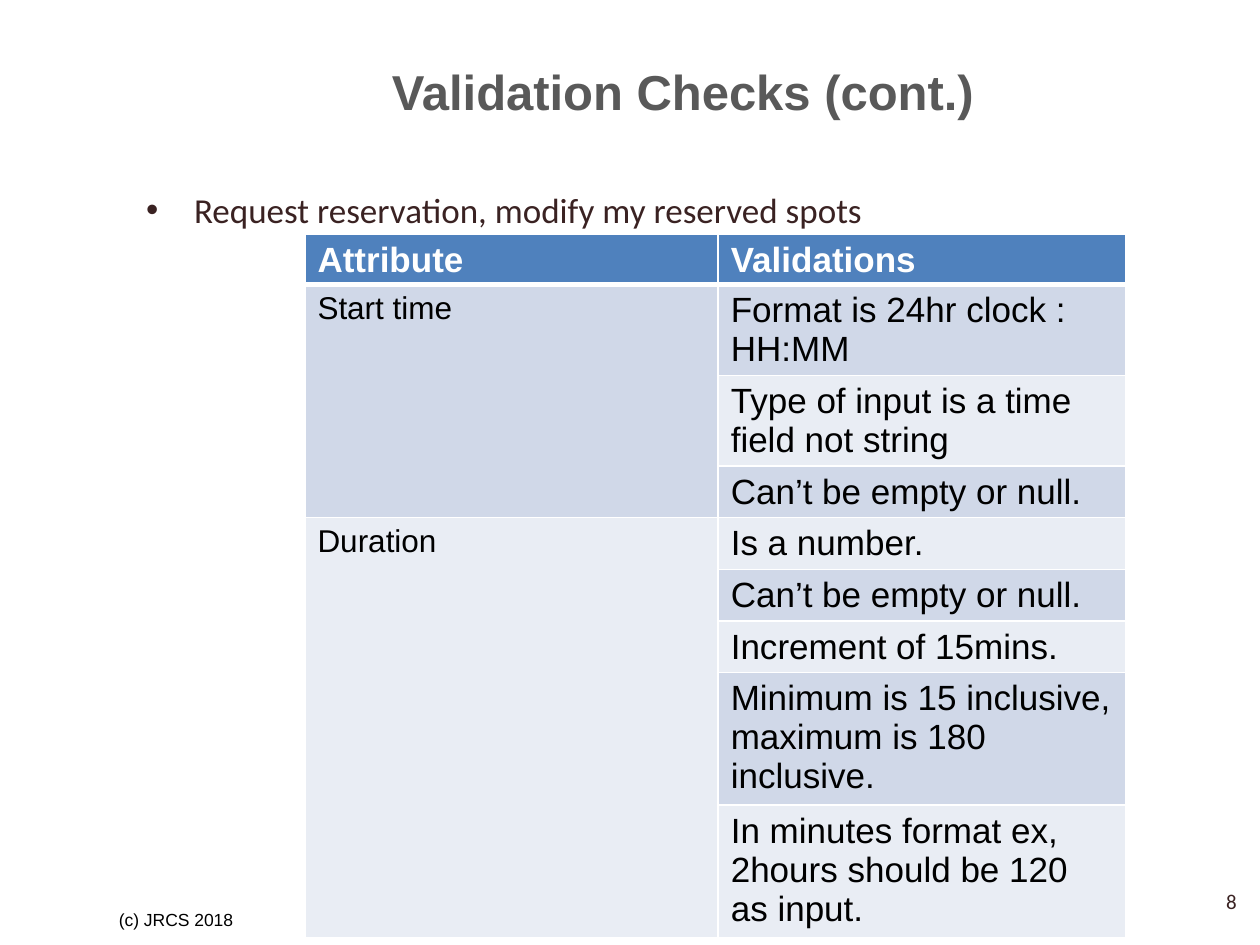
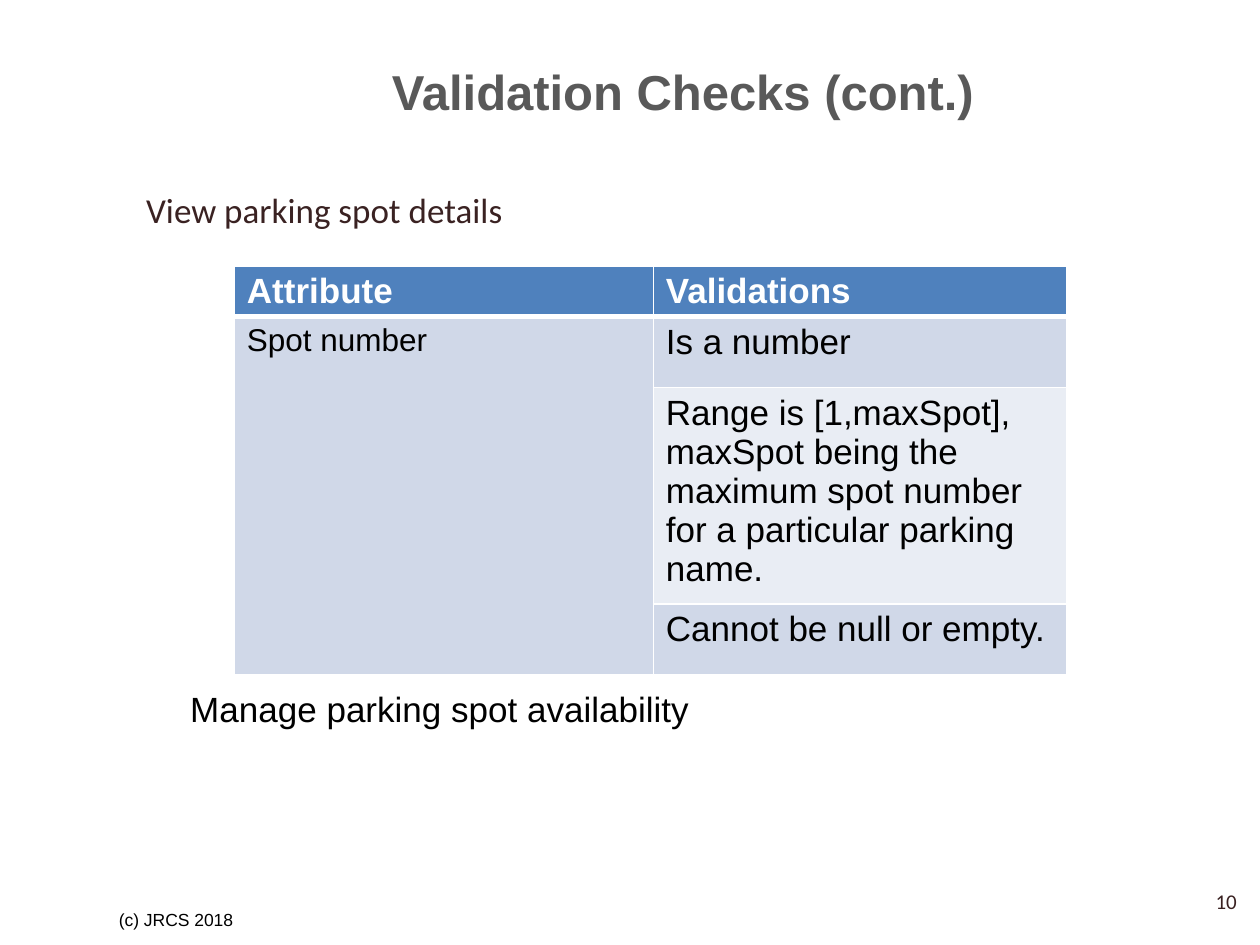
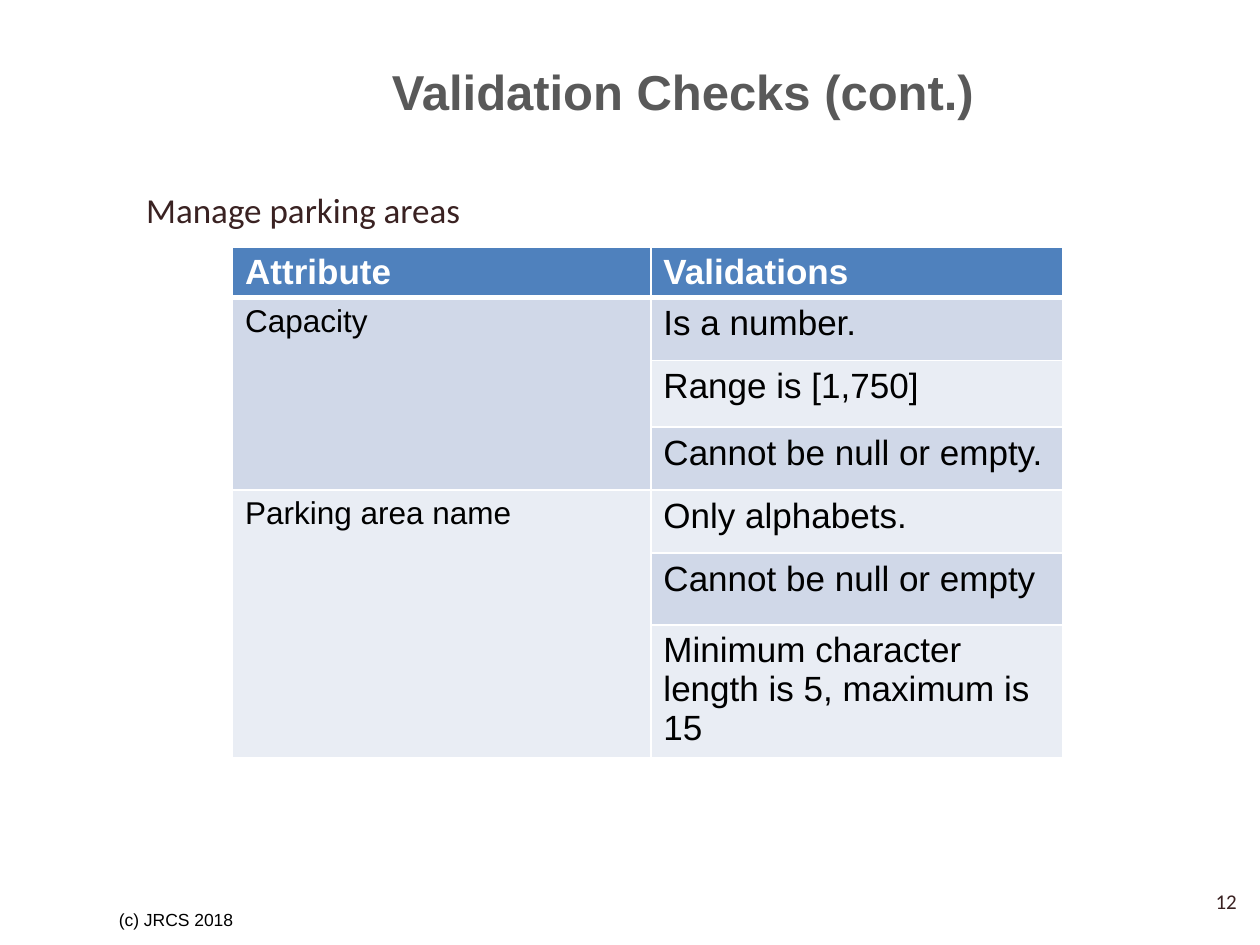
import dataclasses
import lxml.etree
import pptx
import pptx.dml.color
import pptx.enum.text
import pptx.oxml.ns
import pptx.slide
import pptx.table
import pptx.text.text
import pptx.util

HUES = {"title": "595959", "body": "3A2222", "ink": "000000", "white": "FFFFFF",
        "head": "4F81BD", "dark": "D0D8E8", "light": "E9EDF4"}
ALIGN = pptx.enum.text.PP_ALIGN
MIDDLE = pptx.enum.text.MSO_ANCHOR.MIDDLE
WIDE, HIGH = pptx.util.Inches(10), pptx.util.Inches(7.5)
COL, ROW = WIDE / 100, HIGH / 75  # a grid of 100 columns by 75 rows
ONE, TWO, THREE, FIVE = (1 + 3.1 * lines for lines in (1, 2, 3, 5))  # row heights by line count
HEAD = 4


@dataclasses.dataclass
class Box:
    left: float
    top: float
    wide: float
    high: float

    def size(self) -> tuple[int, int, int, int]:
        return (round(self.left * COL), round(self.top * ROW),
                round(self.wide * COL), round(self.high * ROW))


@dataclasses.dataclass
class Rule:
    text: str
    high: float = ONE


@dataclasses.dataclass
class Page:
    number: int
    topic: str
    left: float
    top: float
    cols: tuple[float, float]
    groups: dict[str, list[Rule]]
    bullet: bool = False
    note: str = ""


TITLE = Box(9.2, 3, 90, 8.4)
BODY = Box(10.6, 14.42, 86.7, 53)
FOOT = Box(8.45, 71, 23.3, 4)
COUNT = Box(75.85, 69.5, 23.3, 4)
NOTE = Box(13.95, 54.05, 41.9, 4.4)

PAGES = [
    Page(8, "Request reservation, modify my reserved spots", 24.2, 18.6, (32.8, 32.35), {
        "Start time": [
            Rule("Format is 24hr clock : HH:MM", TWO),
            Rule("Type of input is a time field not string", TWO),
            Rule("Can’t be empty or null.")],
        "Duration": [
            Rule("Is a number."),
            Rule("Can’t be empty or null."),
            Rule("Increment of 15mins."),
            Rule("Minimum is 15 inclusive, maximum is 180 inclusive.", THREE),
            Rule("In minutes format ex, 2hours should be 120 as input.", THREE)],
    }, bullet=True),
    Page(10, "View parking spot details", 18.6, 21.1, (33.25, 32.8), {
        "Spot number": [
            Rule("Is a number", 5.65),
            Rule("Range is [1,maxSpot], maxSpot being the maximum spot number "
                 "for a particular parking name.", FIVE),
            Rule("Cannot be null or empty.", 5.65)],
    }, note="Manage parking spot availability"),
    Page(12, "Manage parking areas", 18.46, 19.6, (33.2, 32.7), {
        "Capacity": [
            Rule("Is a number.", 5),
            Rule("Range is [1,750]", 5.3),
            Rule("Cannot be null or empty.", 5)],
        "Parking area name": [
            Rule("Only alphabets.", 5),
            Rule("Cannot be null or empty", 5.7),
            Rule("Minimum character length is 5, maximum is 15", THREE)],
    }),
]


def write(frame: pptx.text.text.TextFrame, text: str, *, size: float = 20, hue: str = "ink",
          font: str = "Arial", bold: bool = False, align: ALIGN = ALIGN.LEFT) -> None:
    para = frame.paragraphs[0]
    para.alignment = align
    para.line_spacing = 1.0
    para.space_before = pptx.util.Pt(0)
    run = para.add_run()
    run.text = text
    run.font.size = pptx.util.Pt(size)
    run.font.name = font
    run.font.bold = bold
    run.font.color.rgb = pptx.dml.color.RGBColor.from_string(HUES[hue])


def label(slide: pptx.slide.Slide, box: Box, text: str, wrap: bool = True, **form) -> None:
    frame = slide.shapes.add_textbox(*box.size()).text_frame
    frame.word_wrap = wrap
    frame.vertical_anchor = MIDDLE
    write(frame, text, **form)


def mark(frame: pptx.text.text.TextFrame, bullet: bool) -> None:
    """Give the first paragraph a hanging bullet, or none."""
    props = frame.paragraphs[0]._p.get_or_add_pPr()
    indent = round(3.8 * COL) if bullet else 0
    props.set("marL", str(indent))
    props.set("indent", str(-indent))
    sign = lxml.etree.SubElement(props, pptx.oxml.ns.qn("a:buChar" if bullet else "a:buNone"))
    if bullet:
        sign.set("char", "•")


def edge(cell: pptx.table._Cell, row: int) -> None:
    """Draw white borders, thick between the head and the first row."""
    thick = {0: "lnB", 1: "lnT"}.get(row)
    for spot, side in enumerate(("lnL", "lnR", "lnT", "lnB")):
        line = lxml.etree.Element(pptx.oxml.ns.qn(f"a:{side}"))
        line.set("w", str(pptx.util.Pt(3 if side == thick else 1)))
        fill = lxml.etree.SubElement(line, pptx.oxml.ns.qn("a:solidFill"))
        lxml.etree.SubElement(fill, pptx.oxml.ns.qn("a:srgbClr")).set("val", HUES["white"])
        cell._tc.get_or_add_tcPr().insert(spot, line)


def chart(slide: pptx.slide.Slide, page: Page) -> None:
    """Draw the table of attributes and their validations."""
    rules = [rule for group in page.groups.values() for rule in group]
    highs = [HEAD] + [rule.high for rule in rules]
    box = Box(page.left, page.top, sum(page.cols), sum(highs))
    table = slide.shapes.add_table(len(highs), 2, *box.size()).table
    table.horz_banding = False
    for col, wide in zip(table.columns, page.cols):
        col.width = round(wide * COL)
    for row, high in enumerate(highs):
        table.rows[row].height = round(high * ROW)
        hue = "head" if row == 0 else "dark" if row % 2 else "light"
        for cell in table.rows[row].cells:
            cell.margin_bottom = 0
            cell.fill.solid()
            cell.fill.fore_color.rgb = pptx.dml.color.RGBColor.from_string(HUES[hue])
            edge(cell, row)
    for col, text in enumerate(("Attribute", "Validations")):
        write(table.cell(0, col).text_frame, text, hue="white", bold=True)
    for row, rule in enumerate(rules, 1):
        write(table.cell(row, 1).text_frame, rule.text)
    first = 1
    for name, group in page.groups.items():
        cell = table.cell(first, 0)
        cell.merge(table.cell(first + len(group) - 1, 0))
        write(cell.text_frame, name, size=18)
        first += len(group)


def build(deck: pptx.presentation.Presentation, page: Page) -> None:
    slide = deck.slides.add_slide(deck.slide_layouts[1])
    title, body = slide.placeholders
    for shape, box in ((title, TITLE), (body, BODY)):
        shape.left, shape.top, shape.width, shape.height = box.size()
    title.text_frame.vertical_anchor = MIDDLE
    write(title.text_frame, "Validation Checks (cont.)", size=28, hue="title", bold=True,
          align=ALIGN.CENTER)
    mark(body.text_frame, page.bullet)
    write(body.text_frame, page.topic, hue="body", font="Calibri")
    label(slide, FOOT, "(c) JRCS 2018", size=10)
    label(slide, COUNT, str(page.number), size=12, hue="body", font="Calibri",
          align=ALIGN.RIGHT)
    chart(slide, page)
    if page.note:
        label(slide, NOTE, page.note, wrap=False, align=ALIGN.CENTER)


def main() -> None:
    deck = pptx.Presentation()
    deck.slide_width, deck.slide_height = WIDE, HIGH
    for page in PAGES:
        build(deck, page)
    deck.save("out.pptx")


if __name__ == "__main__":
    main()
